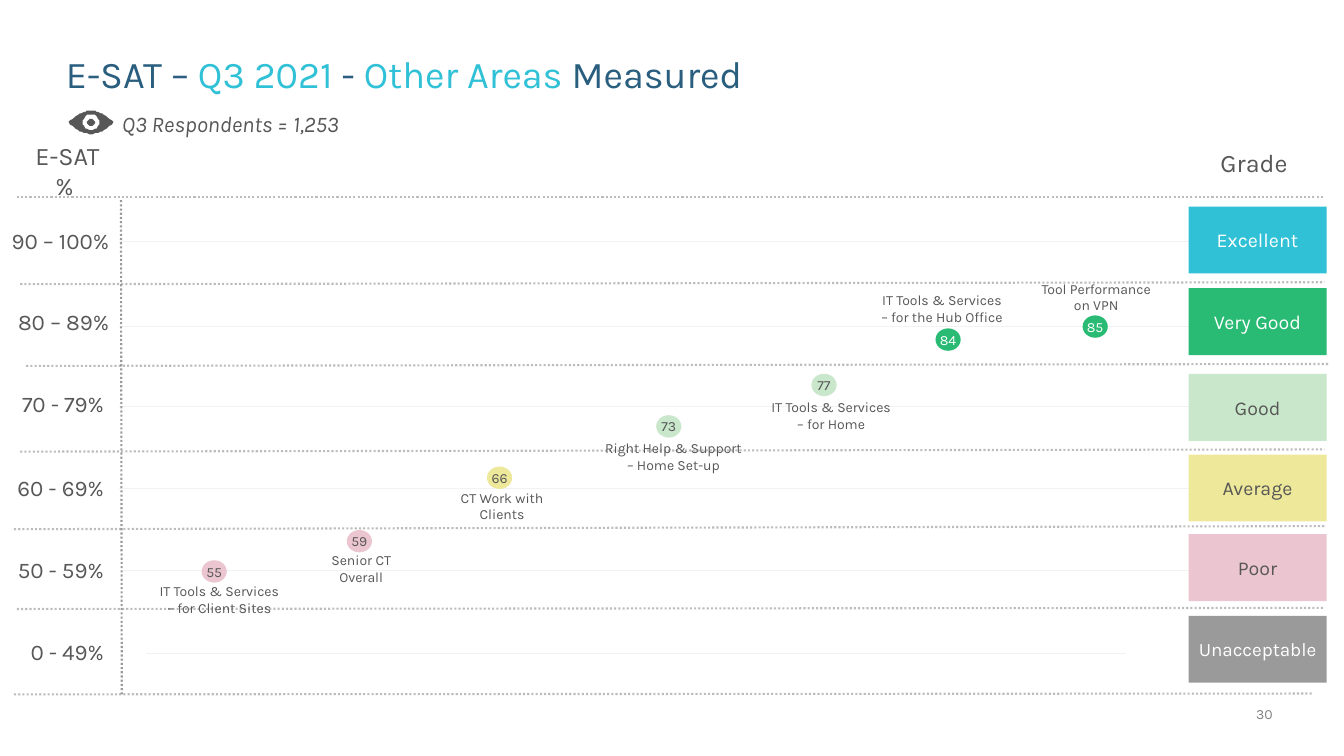
from math import cos, sin, pi

from lxml.etree import SubElement
from pptx import Presentation
from pptx.dml.color import RGBColor
from pptx.enum.dml import MSO_LINE as Dash
from pptx.enum.shapes import MSO_CONNECTOR, MSO_SHAPE as Shape
from pptx.enum.text import MSO_ANCHOR as Anchor, MSO_AUTO_SIZE, PP_ALIGN as Align
from pptx.oxml.ns import qn
from pptx.util import Pt

FONT = "Karla"
GREY, WHITE, NAVY, CYAN = "575757", "FFFFFF", "295E7E", "30C1D7"
GREEN, MINT, YELLOW, PINK, DARK = "29BA74", "C9E7CA", "EEE89A", "EBC5D0", "9A9A9A"

# label, label centre, guide line y, guide line start and end
BANDS = [
    ("90 – 100%", 32, 32, 86, 849),
    ("80 – 89%", 89.7, 93, 85, 849),
    ("70 - 79% ", 148, 150, 85, 849),
    ("60 - 69% ", 208.5, 208.5, 85, 849),
    ("50 - 59% ", 266.8, 267, 87, 851),
    ("0 - 49% ", 325.1, 326.5, 104.5, 804),
]
# left x, left y, right x, right y
SEPARATORS = [
    (12, 0.4, 946, 0.4), (14.4, 63, 946, 61.6), (18.7, 121.4, 950, 120),
    (14.4, 182.6, 946, 181), (10, 238, 946, 235.8), (12, 295, 946, 294.2),
    (10, 356, 938, 355.4),
]
# grade, top, fill, text colour, size
GRADES = [
    ("Excellent", 7.6, CYAN, WHITE, 14),
    ("Very Good", 65.9, GREEN, WHITE, 14),
    ("Good", 127.1, MINT, GREY, 14),
    ("Average", 184.7, YELLOW, GREY, 14),
    ("Poor", 241.6, PINK, GREY, 14),
    ("Unacceptable", 299.9, DARK, WHITE, 13.5),
]
# score, centre, fill, text colour, label, label centre, label width
SCORES = [
    ("55", (153, 268.2), PINK, GREY, "IT Tools & Services – for Client Sites", (156.6, 288.4), 104.4),
    ("59", (256.7, 246.6), PINK, GREY, "Senior CT Overall", (258, 266), 57),
    ("66", (356.8, 201.3), YELLOW, GREY, "CT Work with Clients", (358.6, 221.4), 76.4),
    ("73", (477.7, 164.6), MINT, GREY, "Right Help & Support – Home Set-up", (481, 185.8), 118),
    ("77", (588.6, 135), MINT, GREY, "IT Tools & Services – for Home", (593.6, 156.6), 104.4),
    ("84", (677.2, 102.6), GREEN, WHITE, "IT Tools & Services – for the Hub Office", (672.8, 80.3), 104.4),
    ("85", (782.3, 93.3), GREEN, WHITE, "Tool Performance on VPN", (783, 72), 98.6),
]


def rgb(color):
    return RGBColor.from_string(color)


def add_run(p, text, size=10, color=GREY, italic=False):
    r = p.add_run()
    r.text = text
    r.font.name, r.font.size, r.font.italic = FONT, Pt(size), italic
    r.font.color.rgb = rgb(color)


def write(sp, text, align=Align.CENTER, anchor=Anchor.MIDDLE, inset=None, wrap=True, **font):
    tf = sp.text_frame
    tf.word_wrap, tf.vertical_anchor = wrap, anchor
    if inset is not None:
        tf.margin_left = tf.margin_right = tf.margin_top = tf.margin_bottom = Pt(inset)
    p = tf.paragraphs[0]
    p.alignment = align
    add_run(p, text, **font)


def add_text(s, x, y, w, h, text, **fmt):
    write(s.shapes.add_textbox(Pt(x), Pt(y), Pt(w), Pt(h)), text, **fmt)


def paint(sp, fill):
    sp.shadow.inherit = False
    sp.fill.solid()
    sp.fill.fore_color.rgb = rgb(fill)
    sp.line.fill.background()


def add_shape(s, kind, x, y, w, h, fill):
    sp = s.shapes.add_shape(kind, Pt(x), Pt(y), Pt(w), Pt(h))
    paint(sp, fill)
    return sp


def add_line(s, x1, y1, x2, y2, color, width=1.5, dash=Dash.ROUND_DOT):
    line = s.shapes.add_connector(MSO_CONNECTOR.STRAIGHT, Pt(x1), Pt(y1), Pt(x2), Pt(y2))
    line.line.color.rgb = rgb(color)
    line.line.width = Pt(width)
    line.line.dash_style = dash
    SubElement(line._element.spPr, qn("a:effectLst"))


def add_title(s, x, y, w, h):
    sp = s.shapes.title
    sp.left, sp.top, sp.width, sp.height = Pt(x), Pt(y), Pt(w), Pt(h)
    write(sp, "E-SAT – ", align=Align.LEFT, anchor=Anchor.TOP, inset=0, size=27, color=NAVY)
    sp.text_frame.auto_size = MSO_AUTO_SIZE.NONE
    p = sp.text_frame.paragraphs[0]
    p.line_spacing = 0.9
    for text, color in [("Q3 2021 ", CYAN), ("- ", NAVY), ("Other Areas ", CYAN), ("Measured", NAVY)]:
        add_run(p, text, size=27, color=color)


def add_eye(s, x, y, w, h):
    """Lens-shaped outline with a round iris and pupil cut through it."""
    cx, cy, steps = x + w / 2, y + h / 2, 24
    across = [2 * i / steps - 1 for i in range(steps + 1)]
    lens = [(cx + t * w / 2, cy - (1 - t * t) * h / 2) for t in across]
    lens += [(px, 2 * cy - py) for px, py in lens[-2:0:-1]]
    turns = [2 * pi * i / steps for i in range(steps)]
    rings = [[(cx + r * cos(a), cy + r * sin(a)) for a in turns] for r in (h * 0.35, h * 0.16)]
    builder = s.shapes.build_freeform(*lens[0], scale=Pt(1))
    builder.add_line_segments(lens[1:])
    for ring in rings:
        builder.move_to(*ring[0])
        builder.add_line_segments(ring[1:])
    paint(builder.convert_to_shape(), GREY)


def add_respondents(s, x, y, w, h):
    add_eye(s, x, y + 4.2, 32, 16.5)
    add_text(s, x + 31, y, w - 31, h, "Q3 Respondents = 1,253", align=Align.LEFT, size=16, italic=True)


def add_grid(s, x, y, w, h):
    for _, _, guide, start, end in BANDS:
        add_line(s, x + start, y + guide, x + end, y + guide, "F2F2F2", 0.25, Dash.SOLID)
    for x1, y1, x2, y2 in SEPARATORS:
        add_line(s, x + x1, y + y1, x + x2, y + y2, "BCBCBC")
    add_line(s, x + 87, y + h, x + 86.4, y + 2, DARK)
    add_text(s, x + 10, y - 34, 76.4, 31.6, "E-SAT % ", size=18)
    for label, centre, *_ in BANDS:
        add_text(s, x, y + centre - 24, 85, 48, label, align=Align.RIGHT, size=16)


def add_grades(s, x, y, w, h):
    add_text(s, x - 3.6, y - 40, w + 2, 31.6, "Grade", size=18)
    for grade, top, fill, color, size in GRADES:
        sp = add_shape(s, Shape.RECTANGLE, x, y + top, w, 47.8, fill)
        write(sp, grade, size=size, color=color)


def add_scores(s, x, y):
    for score, (cx, cy), fill, color, label, (lx, ly), width in SCORES:
        bubble = add_shape(s, Shape.OVAL, x + cx - 9, y + cy - 8, 18, 16, fill)
        write(bubble, score, inset=0, wrap=False, color=color)
        add_text(s, x + lx - width / 2, y + ly - 12, width, 24, label)


def main():
    prs = Presentation()
    prs.slide_width, prs.slide_height = Pt(960), Pt(540)
    s = prs.slides.add_slide(prs.slide_layouts[5])
    add_title(s, 47, 39.6, 868, 49)
    add_respondents(s, 49, 75, 243, 26.6)
    add_grid(s, 0, 140, 950, 356)
    add_grades(s, 849, 140, 98.6, 356)
    add_scores(s, 0, 140)
    add_text(s, 879, 504, 30, 12.2, "30", align=Align.RIGHT, anchor=Anchor.BOTTOM,
             inset=0, color="808080")
    prs.save("out.pptx")


if __name__ == "__main__":
    main()
